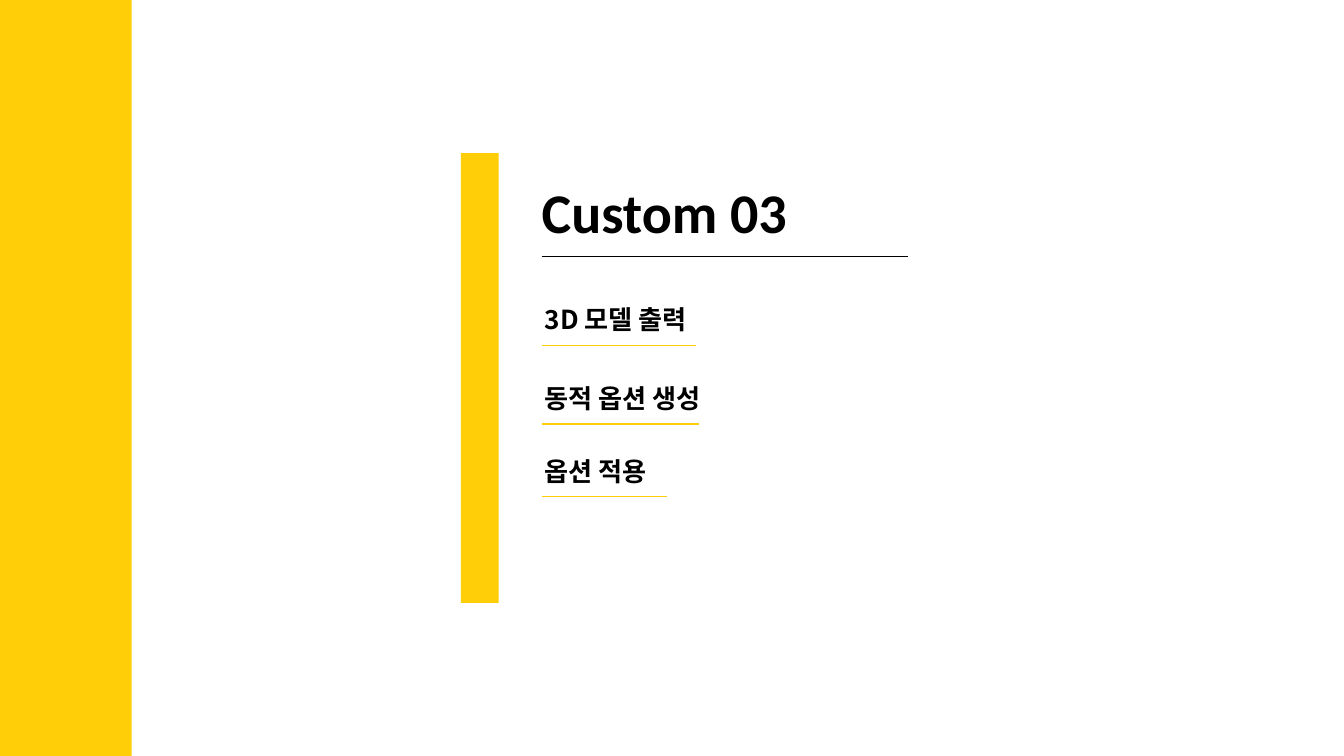
from lxml import etree
from pptx import Presentation
from pptx.dml.color import RGBColor
from pptx.enum.shapes import MSO_CONNECTOR, MSO_SHAPE
from pptx.enum.text import MSO_ANCHOR, MSO_AUTO_SIZE, PP_ALIGN
from pptx.oxml.ns import qn
from pptx.util import Inches, Pt

RECT = MSO_SHAPE.RECTANGLE
LINE = MSO_CONNECTOR.STRAIGHT
TOP = MSO_ANCHOR.TOP
LEFT = PP_ALIGN.LEFT
NO_FIT = MSO_AUTO_SIZE.NONE

COLORS = {"yellow": "FFCE08", "black": "000000"}
EDGE = 8.06  # shared left edge of the title and the rules

# Topic, top of its text, right end of its rule
TOPICS = [
    ("3D 모델 출력", 4.52, 10.35),
    ("동적 옵션 생성", 5.69, 10.4),
    ("옵션 적용", 6.77, 9.92),
]


def color(name):
    return RGBColor.from_string(COLORS[name])


def add_bar(slide, x, y, w, h):
    bar = slide.shapes.add_shape(RECT, Inches(x), Inches(y), Inches(w), Inches(h))
    bar.shadow.inherit = False
    bar.fill.solid()
    bar.fill.fore_color.rgb = color("yellow")
    bar.line.fill.background()


def add_rule(slide, y, end, name):
    rule = slide.shapes.add_connector(
        LINE, Inches(EDGE), Inches(y), Inches(end), Inches(y))
    rule.line.color.rgb = color(name)
    rule.line.width = Pt(1.5)
    etree.SubElement(rule._element.spPr, qn("a:effectLst"))


def set_text(box, text, size, face):
    frame = box.text_frame
    frame.text = text
    frame.word_wrap = True
    frame.auto_size = NO_FIT
    frame.vertical_anchor = TOP
    frame.margin_left = frame.margin_right = 0
    frame.margin_top = frame.margin_bottom = 0
    para = frame.paragraphs[0]
    para.alignment = LEFT
    font = para.font
    font.size = Pt(size)
    font.bold = True
    font.color.rgb = color("black")
    font.name = face
    # Hangul takes its face from the East Asian slot
    props = para._p.pPr.find(qn("a:defRPr"))
    etree.SubElement(props, qn("a:ea"), typeface=face)


def add_title(slide, text):
    title = slide.shapes.title
    title.left, title.top = Inches(EDGE), Inches(2.64)
    title.width, title.height = Inches(5.65), Inches(1.01)
    set_text(title, text, 60, "Calibri")
    add_rule(slide, 3.82, 13.51, "black")


def add_topic(slide, text, top, end):
    box = slide.shapes.add_textbox(
        Inches(EDGE + 0.05), Inches(top), Inches(5.25), Inches(0.47))
    set_text(box, text, 28, "Noto Sans CJK KR")
    add_rule(slide, top + 0.62, end, "yellow")


def main():
    deck = Presentation()
    deck.slide_width, deck.slide_height = Inches(20), Inches(11.25)
    slide = deck.slides.add_slide(deck.slide_layouts.get_by_name("Title Only"))

    # Side band and accent bar
    add_bar(slide, 0, 0, 1.96, 11.25)
    add_bar(slide, 6.86, 2.28, 0.56, 6.69)

    # Heading and topics
    add_title(slide, "Custom 03")
    for topic in TOPICS:
        add_topic(slide, *topic)

    deck.save("out.pptx")


if __name__ == "__main__":
    main()
